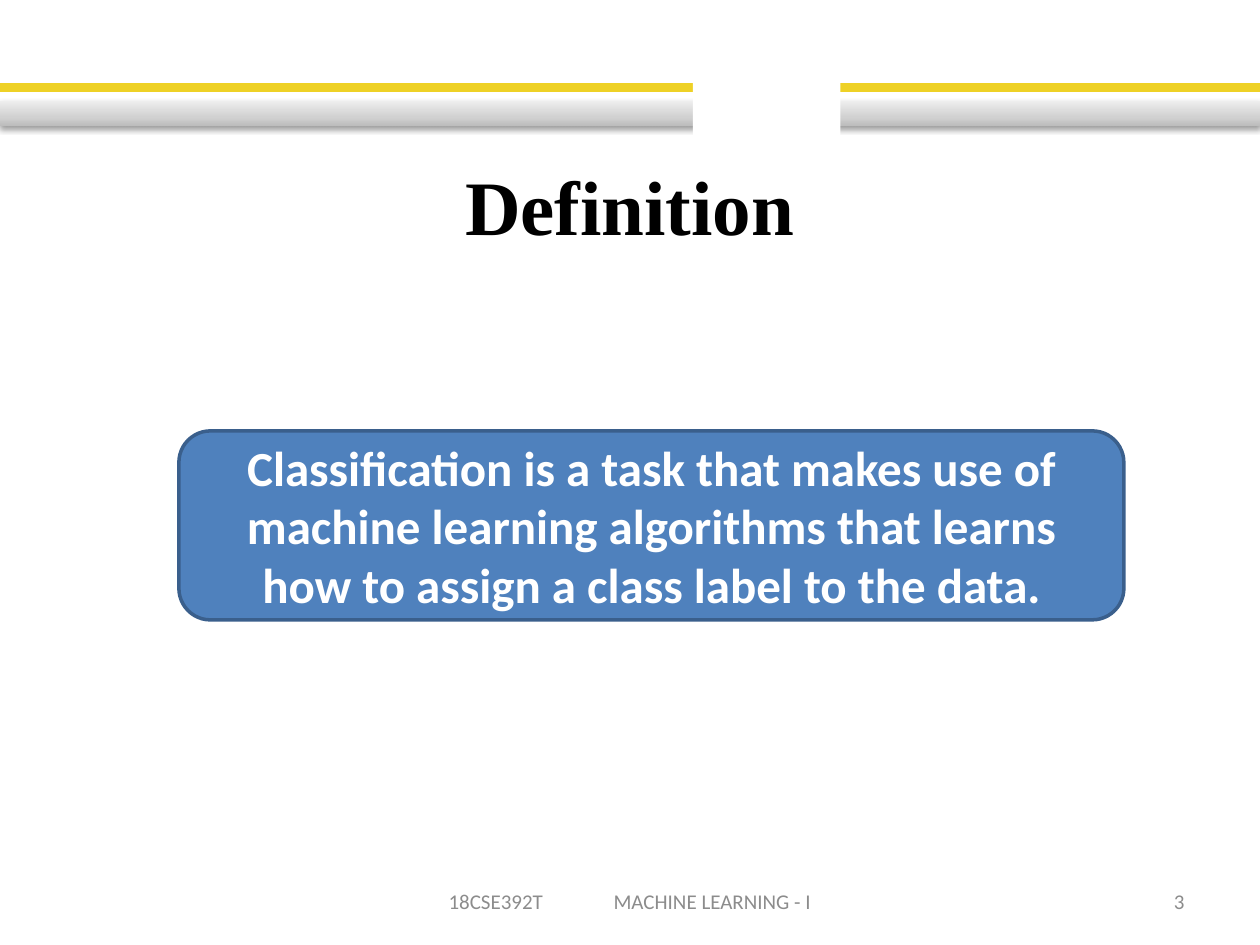
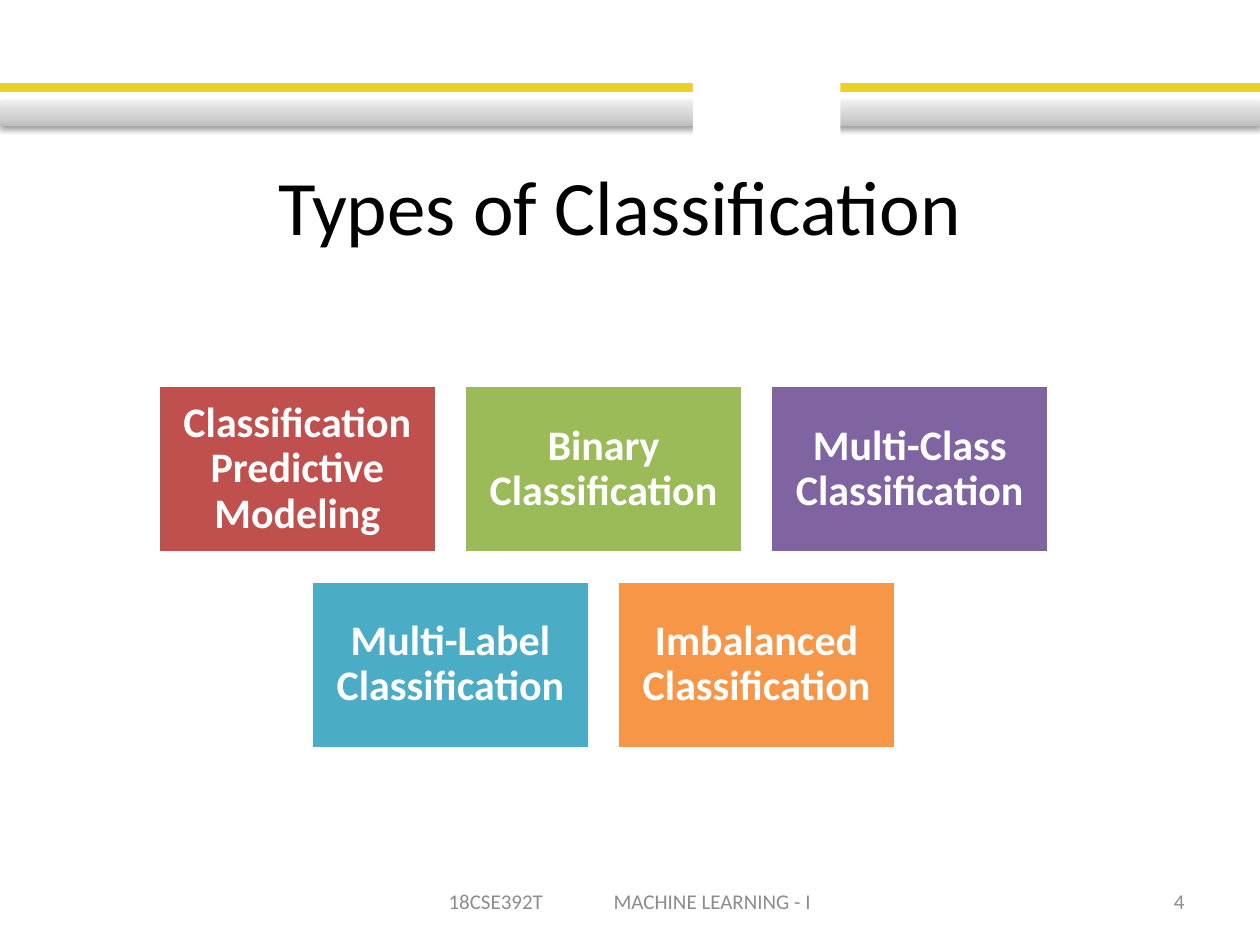
"""Build two slides on classification in machine learning."""
from lxml import etree
from pptx import Presentation
from pptx import oxml
from pptx import util as u
from pptx.dml import color
from pptx.enum import shapes, text
from pptx.oxml import ns

INK = {
    "white": "FFFFFF", "black": "000000", "grey": "8C8C8C", "gold": "EED126",
    "blue": "4F81BD", "navy": "3A5F8C", "red": "C0504D", "green": "9BBB59",
    "plum": "8064A2", "teal": "4BACC6", "amber": "F79646",
}
BAND = ((0, "BDBDBD"), (35, "D1D1D1"), (100, "EEEEEE"))
SHADE = (
    f'<a:outerShdw {ns.nsdecls("a")} blurRad="39400" dist="20300" dir="5400000" '
    'rotWithShape="0"><a:srgbClr val="000000"><a:alpha val="38000"/>'
    '</a:srgbClr></a:outerShdw>'
)
RECT = shapes.MSO_SHAPE.RECTANGLE
ROUND = shapes.MSO_SHAPE.ROUNDED_RECTANGLE
LEFT, MID, RIGHT = text.PP_ALIGN.LEFT, text.PP_ALIGN.CENTER, text.PP_ALIGN.RIGHT


class Deck:
    """Hold the shared style and the current slide."""

    def __init__(self):
        self.show = Presentation()
        self.show.slide_width = u.Inches(10)
        self.show.slide_height = u.Inches(7.5)
        self.slide = None

    def tint(self, name):
        return color.RGBColor.from_string(INK[name])

    def words(self, item, words, size, ink, align=MID, bold=False, font="Calibri"):
        frame = item.text_frame
        frame.word_wrap = True
        frame.vertical_anchor = text.MSO_ANCHOR.MIDDLE
        para = frame.paragraphs[0]
        para.alignment = align
        run = para.add_run()
        run.text = words
        run.font.size = u.Pt(size)
        run.font.name = font
        run.font.bold = bold
        run.font.color.rgb = self.tint(ink)
        return para

    def label(self, box, words, size, ink, **style):
        item = self.slide.shapes.add_textbox(*map(u.Inches, box))
        self.words(item, words, size, ink, **style)
        return item

    def block(self, box, fill, line=None, kind=RECT):
        item = self.slide.shapes.add_shape(kind, *map(u.Inches, box))
        item.shadow.inherit = False
        item.fill.solid()
        item.fill.fore_color.rgb = self.tint(fill)
        if line:
            item.line.color.rgb = self.tint(line)
            item.line.width = u.Pt(2)
        else:
            item.line.fill.background()
        return item

    def band(self, box):
        item = self.block(box, "white")
        item.fill.gradient()
        item.fill.gradient_angle = 90
        props = item._element.spPr
        stops = props.find(".//" + ns.qn("a:gsLst"))
        for old in list(stops):
            stops.remove(old)
        for place, shade in BAND:
            stop = etree.SubElement(stops, ns.qn("a:gs"), pos=str(place * 1000))
            etree.SubElement(stop, ns.qn("a:srgbClr"), val=shade)
        props.find(ns.qn("a:effectLst")).append(oxml.parse_xml(SHADE))

    def footer(self, page):
        item = self.label((3.42, 6.95, 3.17, 0.4), "18CSE392T\tMACHINE LEARNING - I",
                          12, "grey", align=LEFT)
        item.text_frame.margin_left = u.Inches(0.14)
        props = item.text_frame.paragraphs[0]._p.get_or_add_pPr()
        tabs = etree.SubElement(props, ns.qn("a:tabLst"))
        etree.SubElement(tabs, ns.qn("a:tab"), pos=str(u.Inches(1.31)), algn="l")
        self.label((7.17, 6.95, 2.33, 0.4), str(page), 12, "grey", align=RIGHT)

    def page(self, title, number, left=0.5, **style):
        self.slide = self.show.slides.add_slide(self.show.slide_layouts[6])
        self.block((0, 0.67, 10, 0.05), "gold", "gold")
        self.band((0, 0.8, 10, 0.2))
        self.block((5.5, 0.5, 1.17, 0.67), "white", kind=ROUND)
        self.label((left, 1, 9, 1.25), title, 44, "black", **style)
        self.footer(number)

    def tile(self, box, words, fill):
        item = self.block(box, fill, "white")
        frame = item.text_frame
        frame.margin_left = frame.margin_right = u.Inches(0.1)
        frame.margin_top = frame.margin_bottom = u.Inches(0.1)
        self.words(item, words, 24, "white", bold=True).line_spacing = 0.9

    def grid(self, rows, mid=4.79, top=3.06, wide=2.21, high=1.33, gap=0.22):
        for down, row in enumerate(rows):
            start = mid - (len(row) * (wide + gap) - gap) / 2
            for along, (words, fill) in enumerate(row):
                box = (start + along * (wide + gap), top + down * (high + gap), wide, high)
                self.tile(box, words, fill)


def main():
    deck = Deck()
    deck.page("Definition", 3, bold=True, font="Times New Roman")
    card = deck.block((1.42, 3.42, 7.5, 1.5), "blue", "navy", ROUND)
    deck.words(card, "Classification is a task that makes use of machine learning "
               "algorithms that learns how to assign a class label to the data.",
               28, "white", bold=True)

    deck.page("Types of Classification", 4, left=0.42)
    deck.grid((
        (("Classification Predictive Modeling", "red"),
         ("Binary Classification", "green"),
         ("Multi-Class Classification", "plum")),
        (("Multi-Label Classification", "teal"),
         ("Imbalanced Classification", "amber")),
    ))
    deck.show.save("out.pptx")


if __name__ == "__main__":
    main()
